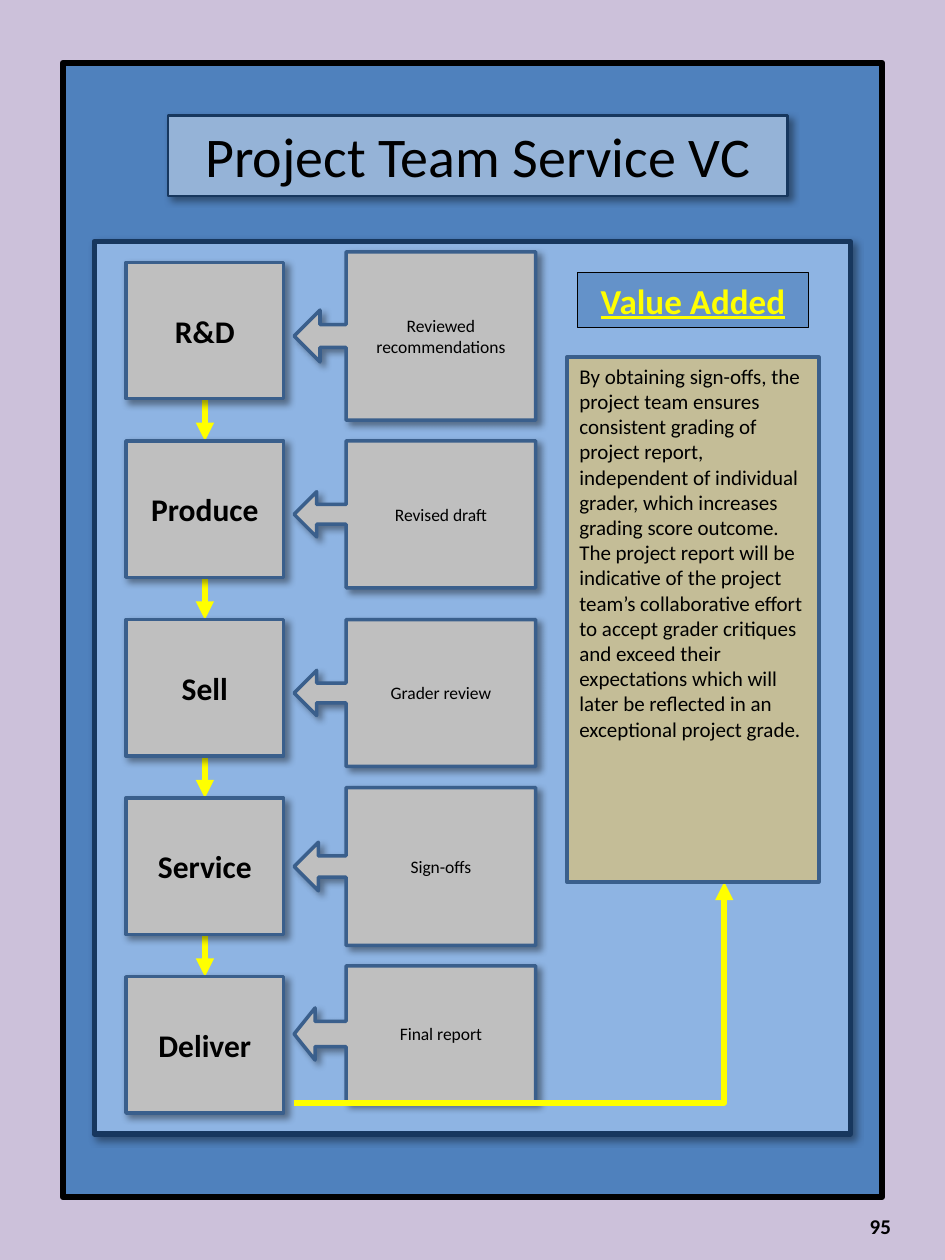
from dataclasses import dataclass

from lxml import etree
from pptx import Presentation
from pptx import util as u
from pptx.dml.color import RGBColor
from pptx.enum import shapes, text
from pptx.oxml.ns import qn

FONT = "Calibri"
BLACK, YELLOW, GRAY, EDGE, NAVY = "000000", "FFFF00", "BFBFBF", "3A5F8C", "17375E"
RECT = shapes.MSO_SHAPE.RECTANGLE
CALLOUT = shapes.MSO_SHAPE.LEFT_ARROW_CALLOUT
TOP, MIDDLE = text.MSO_ANCHOR.TOP, text.MSO_ANCHOR.MIDDLE
LEFT, CENTER, RIGHT = text.PP_ALIGN.LEFT, text.PP_ALIGN.CENTER, text.PP_ALIGN.RIGHT


@dataclass
class Box:
    """Place and size in centimetres."""
    x: float
    y: float
    w: float
    h: float

    def lengths(self):
        return [u.Cm(v) for v in (self.x, self.y, self.w, self.h)]


@dataclass
class Step:
    name: str
    task: str
    task_y: float
    task_h: float
    adjust: tuple = (0.135, 0.154, 0.154, 0.785)


STEPS = [
    Step("R&D", "Reviewed recommendations", 5.08, 3.39),
    Step("Produce", "Revised draft", 8.89, 2.96),
    Step("Sell", "Grader review", 12.49, 2.96),
    Step("Service", "Sign-offs", 15.88, 3.18),
    Step("Deliver", "Final report", 19.47, 2.75, (0.185, 0.191, 0.154, 0.785)),
]
STEP_X, STEP_Y, STEP_W, STEP_H, PITCH = 2.54, 5.29, 3.18, 2.75, 3.6
TASK_X, TASK_W = 5.93, 4.87

VALUE_TEXT = (
    "By obtaining sign-offs, the project team ensures consistent grading of "
    "project report, independent of individual grader, which increases grading "
    "score outcome. The project report will be indicative of the project team’s "
    "collaborative effort to accept grader critiques and exceed their expectations "
    "which will later be reflected in an exceptional project grade."
)


def rgb(value: str) -> RGBColor:
    return RGBColor.from_string(value)


def add_shadow(s) -> None:
    effects = s._element.spPr.find(qn("a:effectLst"))
    shadow = etree.SubElement(effects, qn("a:outerShdw"), blurRad=str(u.Pt(4)),
                              dist=str(u.Pt(3)), dir="2700000", algn="tl", rotWithShape="0")
    color = etree.SubElement(shadow, qn("a:srgbClr"), val=BLACK)
    etree.SubElement(color, qn("a:alpha"), val="40000")


def add_box(slide, box: Box, fill: str, line: str, width: float,
            shadow: bool = False, kind=RECT):
    s = slide.shapes.add_shape(kind, *box.lengths())
    s.fill.solid()
    s.fill.fore_color.rgb = rgb(fill)
    s.line.color.rgb = rgb(line)
    s.line.width = u.Pt(width)
    s.shadow.inherit = False
    if shadow:
        add_shadow(s)
    return s


def write(s, content: str, size: float, bold: bool = False, color: str = BLACK,
          align=CENTER, anchor=MIDDLE):
    tf = s.text_frame
    tf.text = content
    tf.word_wrap = True
    tf.vertical_anchor = anchor
    p = tf.paragraphs[0]
    p.alignment = align
    r = p.runs[0]
    r.font.name = FONT
    r.font.size = u.Pt(size)
    r.font.bold = bold
    r.font.color.rgb = rgb(color)
    return r


def add_arrow(slide, kind, x1: float, y1: float, x2: float, y2: float):
    c = slide.shapes.add_connector(kind, u.Cm(x1), u.Cm(y1), u.Cm(x2), u.Cm(y2))
    c.line.color.rgb = rgb(YELLOW)
    c.line.width = u.Pt(3.5)
    etree.SubElement(c.line._get_or_add_ln(), qn("a:tailEnd"), type="triangle")
    etree.SubElement(c._element.spPr, qn("a:effectLst"))
    return c


def add_steps(slide) -> None:
    tops = [STEP_Y + i * PITCH for i in range(len(STEPS))]
    middle = STEP_X + STEP_W / 2
    for top, following in zip(tops, tops[1:]):
        add_arrow(slide, shapes.MSO_CONNECTOR.STRAIGHT, middle, top + STEP_H, middle, following)
    for top, step in zip(tops, STEPS):
        s = add_box(slide, Box(STEP_X, top, STEP_W, STEP_H), GRAY, EDGE, 2, True)
        write(s, step.name, 18, bold=True)
        s = add_box(slide, Box(TASK_X, step.task_y, TASK_W, step.task_h),
                    GRAY, EDGE, 2, True, CALLOUT)
        for i, value in enumerate(step.adjust):
            s.adjustments[i] = value
        write(s, step.task, 10)


def add_value_panel(slide) -> None:
    c = add_arrow(slide, shapes.MSO_CONNECTOR.ELBOW, TASK_X, 22.23, 14.6, 17.78)
    guides = c._element.spPr.find(qn("a:prstGeom")).get_or_add_avLst()
    etree.SubElement(guides, qn("a:gd"), name="adj1", fmla="val 100000")

    s = add_box(slide, Box(11.64, 5.5, 4.66, 1.11), "4F81BD", BLACK, 0.75)
    fill_color = s._element.spPr.find(qn("a:solidFill"))[0]
    etree.SubElement(fill_color, qn("a:alpha"), val="66000")
    write(s, "Value Added", 20, True, YELLOW, anchor=TOP).font.underline = True

    s = add_box(slide, Box(11.43, 7.2, 5.08, 10.58), "C4BD97", EDGE, 2)
    write(s, VALUE_TEXT, 12, align=LEFT, anchor=TOP)


def main() -> None:
    prs = Presentation()
    prs.slide_width, prs.slide_height = u.Cm(19.05), u.Cm(25.4)
    slide = prs.slides.add_slide(prs.slide_layouts[6])
    slide.background.fill.solid()
    slide.background.fill.fore_color.rgb = rgb("CCC1DA")

    add_box(slide, Box(1.27, 1.27, 16.51, 22.86), "4F81BD", BLACK, 3.75)
    add_box(slide, Box(1.9, 4.87, 15.24, 17.99), "8EB4E3", NAVY, 3, True)
    title = add_box(slide, Box(3.39, 2.33, 12.49, 1.62), "95B3D7", NAVY, 1.5, True)
    write(title, "Project Team Service VC", 32, anchor=TOP)
    add_steps(slide)
    add_value_panel(slide)

    number = slide.shapes.add_textbox(*Box(13.76, 24.05, 4.45, 1.35).lengths())
    write(number, "95", 12, bold=True, align=RIGHT)
    prs.save("out.pptx")


if __name__ == "__main__":
    main()
